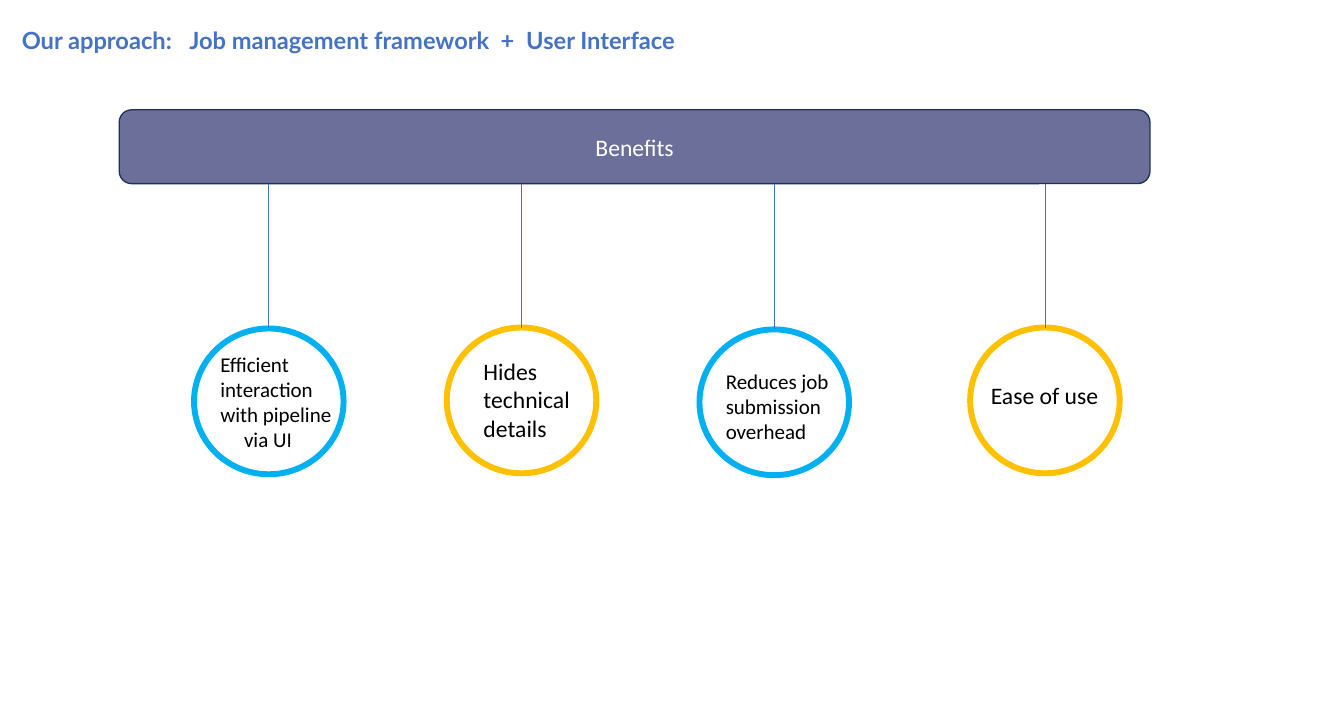
from dataclasses import dataclass

from lxml.etree import SubElement
from pptx import Presentation
from pptx.dml.color import RGBColor
from pptx.enum.shapes import MSO_CONNECTOR, MSO_SHAPE
from pptx.enum.text import MSO_ANCHOR, MSO_AUTO_SIZE, PP_ALIGN
from pptx.oxml.ns import qn
from pptx.util import Pt

PX = 9144


@dataclass(frozen=True)
class Theme:
    """Colours, fonts and type sizes of the slide."""
    accent: str = "4472C4"
    bar: str = "6D6F9B"
    bar_edge: str = "1E3256"
    white: str = "FFFFFF"
    black: str = "000000"
    blue: str = "00B0F0"
    gold: str = "FFC000"
    title_font: str = "Lato"
    body_font: str = "Calibri"
    large: int = 18
    small: int = 16


THEME = Theme()


@dataclass(frozen=True)
class Benefit:
    """One benefit: its ring, its label box and its text."""
    ring_at: tuple
    ring_color: str
    label_box: tuple
    lines: tuple
    size: int
    wrap: bool = True
    last_indent: int = 0


BENEFITS = (
    Benefit((205, 347), THEME.blue, (223, 366, 158, 118),
            ("Efficient", "interaction", "with pipeline", "via UI"), THEME.small, last_indent=25),
    Benefit((472, 346), THEME.gold, (501, 372, 142, 101),
            ("Hides technical details",), THEME.large),
    Benefit((739, 348), THEME.blue, (757, 384, 136, 91),
            ("Reduces job", "submission", "overhead"), THEME.small, wrap=False),
    Benefit((1025, 346), THEME.gold, (1037, 397, 135, 40),
            ("Ease of use",), THEME.large, wrap=False),
)


def px(*lengths):
    """Turn px lengths into EMU."""
    return [length * PX for length in lengths]


def format_text(frame, size, color, font=THEME.body_font, bold=False):
    """Give every run of a text frame the same look."""
    for paragraph in frame.paragraphs:
        for run in paragraph.runs:
            run.font.name = font
            run.font.size = Pt(size)
            run.font.bold = bold
            run.font.color.rgb = RGBColor.from_string(color)


def set_line(line, color, width):
    """Set the colour and width of a line."""
    line.color.rgb = RGBColor.from_string(color)
    line.width = Pt(width)


def add_title(slide, text, box, tab_stops):
    """Place and format the title, with tab stops for its gaps."""
    title = slide.shapes.title
    title.left, title.top, title.width, title.height = px(*box)
    frame = title.text_frame
    frame.text = text
    frame.auto_size = MSO_AUTO_SIZE.NONE
    frame.vertical_anchor = MSO_ANCHOR.MIDDLE
    paragraph = frame.paragraphs[0]
    tabs = SubElement(paragraph._p.get_or_add_pPr(), qn("a:tabLst"))
    for position in px(*tab_stops):
        SubElement(tabs, qn("a:tab"), pos=str(position), algn="l")
    paragraph.alignment = PP_ALIGN.LEFT
    paragraph.line_spacing = 0.9
    format_text(frame, THEME.large, THEME.accent, THEME.title_font, bold=True)


def add_bar(slide, text, box):
    """Add the rounded heading bar."""
    bar = slide.shapes.add_shape(MSO_SHAPE.ROUNDED_RECTANGLE, *px(*box))
    bar.shadow.inherit = False
    bar.fill.solid()
    bar.fill.fore_color.rgb = RGBColor.from_string(THEME.bar)
    set_line(bar.line, THEME.bar_edge, 1)
    bar.text_frame.text = text
    bar.text_frame.vertical_anchor = MSO_ANCHOR.MIDDLE
    bar.text_frame.paragraphs[0].alignment = PP_ALIGN.CENTER
    format_text(bar.text_frame, THEME.large, THEME.white)
    return bar


def add_ring(slide, position, color):
    """Add an unfilled ring."""
    ring = slide.shapes.add_shape(MSO_SHAPE.FLOWCHART_CONNECTOR, *px(*position, 158, 154))
    ring.shadow.inherit = False
    ring.fill.background()
    set_line(ring.line, color, 4.5)
    return ring


def add_stem(slide, bar, ring):
    """Join the bar's lower edge to the top of a ring."""
    center = ring.left + ring.width // 2
    stem = slide.shapes.add_connector(
        MSO_CONNECTOR.STRAIGHT, center, bar.top + bar.height, center, ring.top)
    stem.end_connect(ring, 0)
    set_line(stem.line, THEME.accent, 0.5)
    SubElement(stem._element.spPr, qn("a:effectLst"))


def add_label(slide, benefit):
    """Add the text of a benefit."""
    label = slide.shapes.add_textbox(*px(*benefit.label_box))
    frame = label.text_frame
    frame.text = "\n".join(benefit.lines)
    frame.word_wrap = benefit.wrap
    frame.auto_size = MSO_AUTO_SIZE.SHAPE_TO_FIT_TEXT
    if benefit.last_indent:
        properties = frame.paragraphs[-1]._p.get_or_add_pPr()
        properties.set("marL", str(benefit.last_indent * PX))
    format_text(frame, benefit.size, THEME.black)


def main():
    """Build and save the benefits slide."""
    deck = Presentation()
    deck.slide_width, deck.slide_height = px(1420, 750)
    slide = deck.slides.add_slide(deck.slide_layouts.get_by_name("Title Only"))
    add_title(slide, "Our approach:\tJob management framework\t+\tUser Interface",
              (13, 18, 1150, 52), (177, 506, 533))
    bar = add_bar(slide, "Benefits", (126, 116, 1089, 78))
    for benefit in BENEFITS:
        ring = add_ring(slide, benefit.ring_at, benefit.ring_color)
        add_stem(slide, bar, ring)
        add_label(slide, benefit)
    deck.save("out.pptx")


if __name__ == "__main__":
    main()
